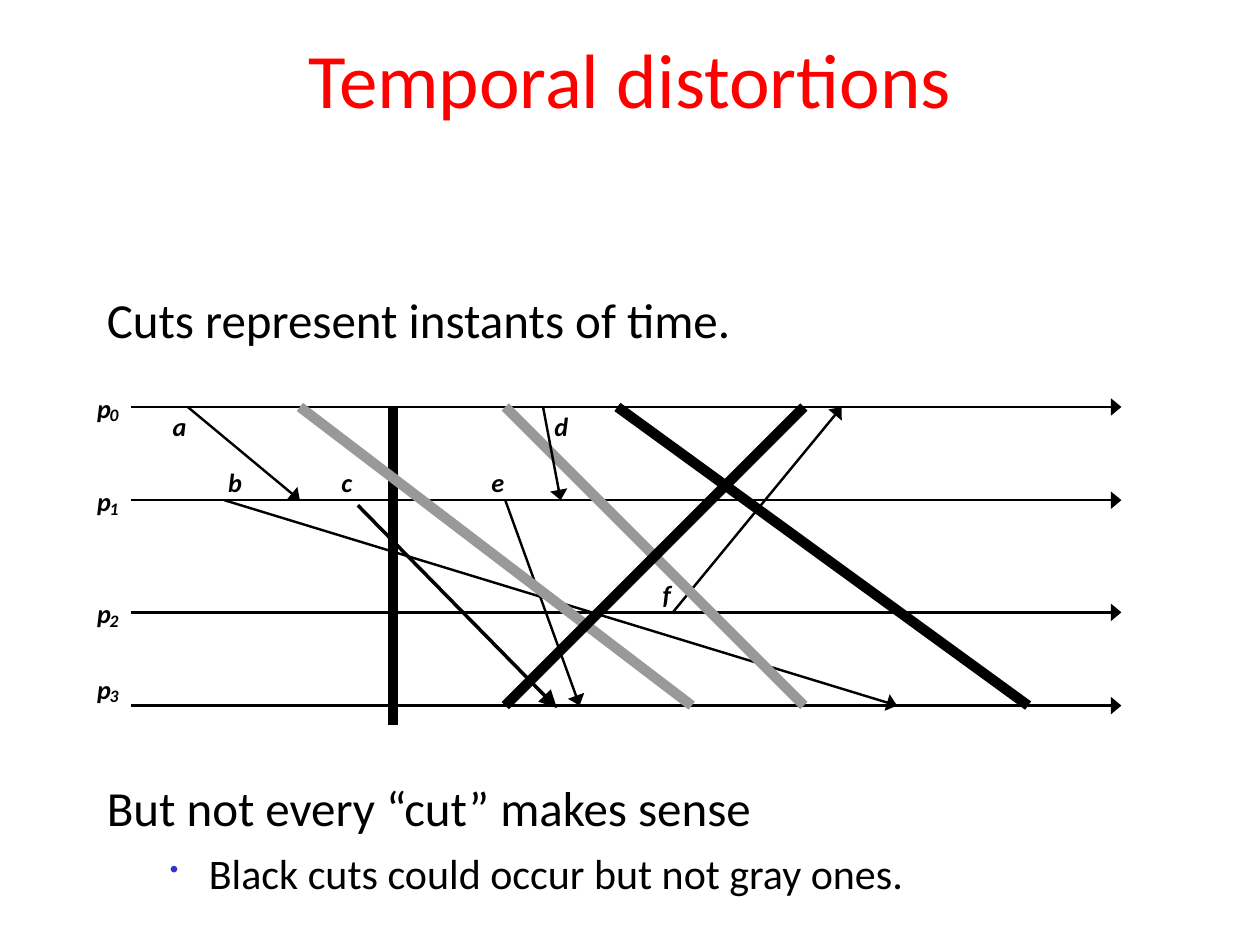
import pptx
import pptx.util
import pptx.dml.color
import pptx.enum.text
import pptx.enum.shapes
import pptx.oxml.ns
import lxml.etree

Inches = pptx.util.Inches
Pt = pptx.util.Pt
FONT = "Calibri"
BLACK, GRAY = "000000", "999999"
LANES = [3.23, 3.97, 4.86, 5.6]
START, END = 1.04, 8.9


def color(code):
    return pptx.dml.color.RGBColor.from_string(code)


def child(node, tag, **attrs):
    return lxml.etree.SubElement(node, pptx.oxml.ns.qn(tag), **attrs)


def style(para, size, code=BLACK, strong=False):
    for run in para.runs:
        font = run.font
        font.name, font.size = FONT, Pt(size)
        font.color.rgb = color(code)
        font.bold = font.italic = strong


def box(slide, left, top, width, height):
    shape = slide.shapes.add_textbox(*map(Inches, (left, top, width, height)))
    shape.text_frame.word_wrap = True
    return shape.text_frame


def title(slide, text):
    frame = box(slide, 0, 0, 10, 1.24)
    frame.vertical_anchor = pptx.enum.text.MSO_ANCHOR.MIDDLE
    frame.text = text
    para = frame.paragraphs[0]
    para.alignment = pptx.enum.text.PP_ALIGN.CENTER
    style(para, 44, "FF0000")


def body(slide, rows):
    frame = box(slide, 0.75, 2.25, 8.5, 4.5)
    for i, (text, size, gap, left, hang, dot) in enumerate(rows):
        para = frame.add_paragraph() if i else frame.paragraphs[0]
        para.text = text
        para.space_before = Pt(gap)
        style(para, size)
        props = para._p.get_or_add_pPr()
        props.set("marL", str(Inches(left)))
        props.set("indent", str(Inches(-hang)))
        if dot:
            para.level = 1
            child(child(props, "a:buClr"), "a:srgbClr", val="3333CC")
            child(props, "a:buSzPct", val="60000")
            child(props, "a:buChar", char="•")


def label(slide, left, top, text, size=15):
    frame = box(slide, left, top, 0.12, size / 60)
    frame.margin_left = frame.margin_right = 0
    frame.margin_top = frame.margin_bottom = 0
    frame.word_wrap = False
    frame.text = text
    style(frame.paragraphs[0], size, strong=True)


def line(slide, ends, code, width, head=None):
    con = slide.shapes.add_connector(
        pptx.enum.shapes.MSO_CONNECTOR.STRAIGHT, *map(Inches, ends))
    con.line.color.rgb = color(code)
    con.line.width = Pt(width)
    props = con._element.spPr
    if head:
        child(props.get_or_add_ln(), "a:tailEnd",
              type="triangle", w="lg", len=head)
    child(props, "a:effectLst")


def arrow(slide, *ends, width=1.4, head="med"):
    line(slide, ends, BLACK, width, head)


def cut(slide, left, right, code, low=LANES[-1]):
    line(slide, (left, LANES[0], right, low), code, 5.88)


def main():
    deck = pptx.Presentation()
    deck.slide_width, deck.slide_height = Inches(10), Inches(7.5)
    slide = deck.slides.add_slide(deck.slide_layouts[6])

    # Text above and below the diagram
    title(slide, "Temporal distortions")
    body(slide, [
        ("Cuts represent instants of time.", 28, 0, 0.38, 0.38, False),
        ("But not every “cut” makes sense", 28, 245, 0.38, 0.38, False),
        ("Black cuts could occur but not gray ones.", 24, 6.4, 0.81, 0.31, True),
    ])

    # White panel
    panel = slide.shapes.add_shape(
        pptx.enum.shapes.MSO_SHAPE.RECTANGLE,
        *map(Inches, (0.75, 3.08, 8.17, 2.58)))
    panel.shadow.inherit = False
    panel.fill.solid()
    panel.fill.fore_color.rgb = color("FFFFFF")
    panel.line.fill.background()

    # Process time lines with their names
    for i, y in enumerate(LANES):
        arrow(slide, START, y, END, y)
        top = y - (0.26 if i == 3 else 0.12)
        label(slide, 0.77, top, "p")
        label(slide, 0.87, top + 0.1, str(i), 10)

    # Messages a, b and f
    p0, p1, p2, p3 = LANES
    arrow(slide, 1.49, p0, 2.38, p1)
    arrow(slide, 1.78, p1, 7.12, p3)
    arrow(slide, 5.34, p2, 6.68, p0)

    # Event names
    for text, x, y in [("a", 1.37, 3.26), ("b", 1.81, 3.7), ("c", 2.71, 3.7),
                       ("d", 4.4, 3.26), ("e", 3.9, 3.7), ("f", 5.26, 4.59)]:
        label(slide, x, y, text)

    # Cuts, with messages d, e and c stacked among them
    cut(slide, 3.12, 3.12, BLACK, 5.75)
    cut(slide, 4.9, 8.16, BLACK)
    cut(slide, 4.01, 6.38, GRAY)
    arrow(slide, 4.31, p0, 4.45, p1)
    arrow(slide, 4.01, p1, 4.6, p3)
    cut(slide, 2.38, 5.49, GRAY)
    cut(slide, 6.38, 4.01, BLACK)
    arrow(slide, 2.84, 4.01, 4.42, 5.62, width=2, head="lg")

    deck.save("out.pptx")


if __name__ == "__main__":
    main()
